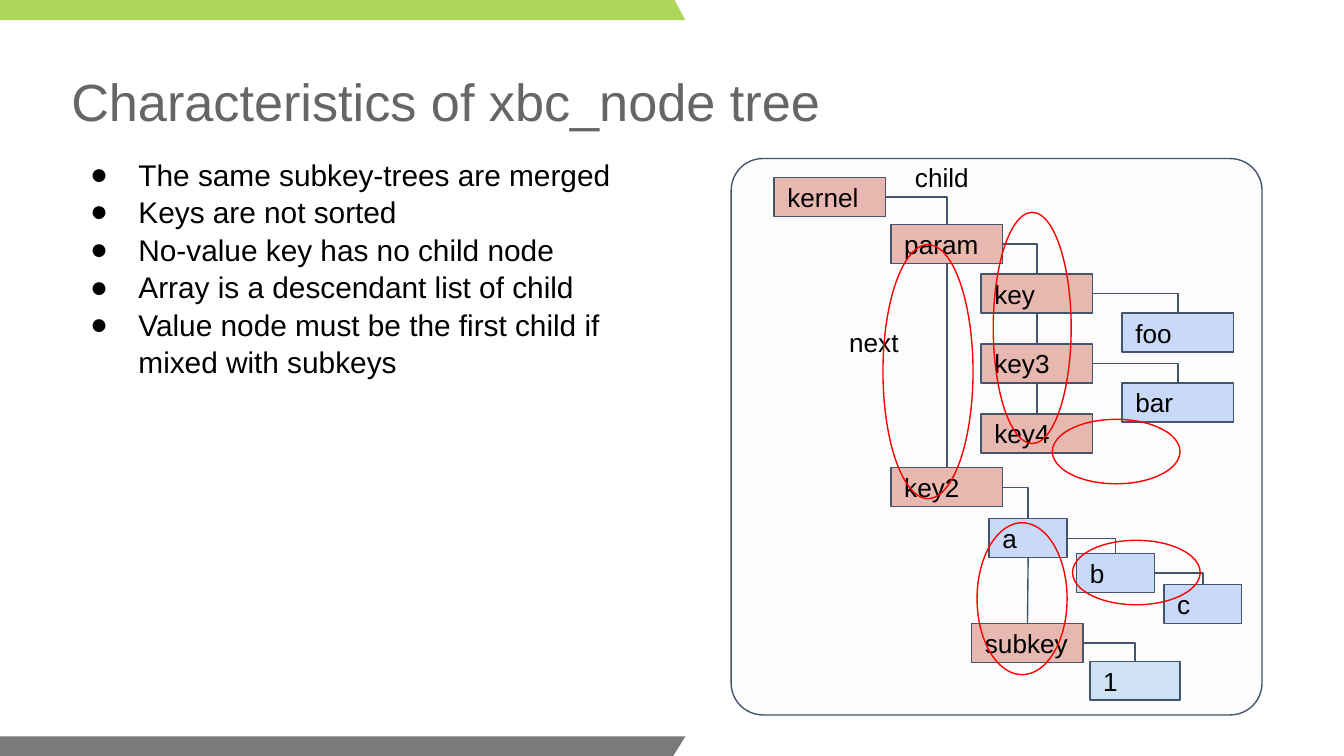
from lxml.etree import SubElement
from pptx import Presentation
from pptx.dml.color import RGBColor
from pptx.enum.shapes import MSO_CONNECTOR as CONN, MSO_SHAPE as SHAPE
from pptx.enum.text import MSO_ANCHOR as ANCHOR, PP_ALIGN as ALIGN
from pptx.oxml.ns import qn
from pptx.util import Emu, Inches, Pt

W = 10
H = W * 9 / 16
FONT = "Arial"
BLACK = RGBColor(0, 0, 0)
GRAY = RGBColor(0x66, 0x66, 0x66)
GREEN = RGBColor(0x99, 0xCC, 0x33)
DARK = RGBColor(0x59, 0x59, 0x59)
SLATE = RGBColor(0x44, 0x54, 0x6A)
PANEL = RGBColor(0xFC, 0xFC, 0xFC)
PINK = RGBColor(0xE6, 0xB8, 0xAF)
BLUE = RGBColor(0xC9, 0xDA, 0xF8)
PALE = RGBColor(0xCF, 0xE2, 0xF3)
RED = RGBColor(0xFF, 0, 0)

TITLE = "Characteristics of xbc_node tree"
BULLETS = [
    "The same subkey-trees are merged",
    "Keys are not sorted",
    "No-value key has no child node",
    "Array is a descendant list of child",
    "Value node must be the first child if mixed with subkeys",
]
NODE_H, WIDE, NARROW = 0.29, 0.83, 0.58
KEY_X, VALUE_X, KEY_Y, KEY_STEP = 7.3, 8.35, 2.04, 0.52
# name: (left, top, width, fill)
NODES = {
    "kernel": (5.76, 1.32, WIDE, PINK),
    "param": (6.63, 1.67, WIDE, PINK),
    "key": (KEY_X, KEY_Y, WIDE, PINK),
    "key3": (KEY_X, KEY_Y + KEY_STEP, WIDE, PINK),
    "key4": (KEY_X, KEY_Y + 2 * KEY_STEP, WIDE, PINK),
    "foo": (VALUE_X, KEY_Y + NODE_H, WIDE, BLUE),
    "bar": (VALUE_X, KEY_Y + NODE_H + KEY_STEP, WIDE, BLUE),
    "key2": (6.63, 3.48, WIDE, PINK),
    "a": (7.36, 3.86, NARROW, BLUE),
    "b": (8.01, 4.12, NARROW, BLUE),
    "c": (8.66, 4.35, NARROW, BLUE),
    "subkey": (7.23, 4.64, WIDE, PINK),
    "1": (8.11, 4.92, 0.67, PALE),
}
CHILD_LINKS = [("kernel", "param"), ("param", "key"), ("key", "foo"), ("key3", "bar"),
               ("key2", "a"), ("a", "b"), ("b", "c"), ("subkey", "1")]
NEXT_LINKS = [("key", "key3"), ("key3", "key4"), ("param", "key2"), ("a", "subkey")]
LINK_LABELS = [("child", 6.71, 1.1, 0.67), ("next", 6.22, 2.33, 0.83)]
RINGS = [(7.39, 1.58, 0.58, 1.72), (7.83, 3.12, 0.95, 0.48), (6.57, 1.82, 0.67, 1.89),
         (7.98, 4.02, 0.95, 0.48), (7.27, 3.89, 0.67, 1.13)]


def add_bullet(p, size):
    pPr = p._p.get_or_add_pPr()
    pPr.set("marL", str(Inches(0.5)))
    pPr.set("indent", str(Inches(-0.36)))
    SubElement(pPr, qn("a:buSzPts")).set("val", str(size * 100))
    SubElement(pPr, qn("a:buFont")).set("typeface", FONT)
    SubElement(pPr, qn("a:buChar")).set("char", "●")


def write(shape, *lines, size=14, color=BLACK, anchor=ANCHOR.TOP, inset=(0.1, 0.1),
          bullets=False, spacing=None):
    tf = shape.text_frame
    tf.word_wrap = True
    tf.vertical_anchor = anchor
    tf.margin_left = tf.margin_right = Inches(inset[0])
    tf.margin_top = tf.margin_bottom = Inches(inset[1])
    for i, line in enumerate(lines):
        p = tf.add_paragraph() if i else tf.paragraphs[0]
        p.alignment = ALIGN.LEFT
        if bullets:
            add_bullet(p, size)
        if spacing:
            p.line_spacing = spacing
        r = p.add_run()
        r.text = line
        r.font.name, r.font.size, r.font.color.rgb = FONT, Pt(size), color


def add_text(s, box, *lines, **fmt):
    write(s.shapes.add_textbox(*map(Inches, box)), *lines, **fmt)


def add_box(s, kind, box, line, fill=None):
    sp = s.shapes.add_shape(kind, *map(Inches, box))
    sp.shadow.inherit = False
    if fill is None:
        sp.fill.background()
    else:
        sp.fill.solid()
        sp.fill.fore_color.rgb = fill
    sp.line.color.rgb, sp.line.width = line, Pt(0.75)
    return sp


def add_bar(s, points, color):
    """Slanted edge bar, 80 % opaque."""
    (x, y), *rest = [(Inches(px), Inches(py)) for px, py in points]
    fb = s.shapes.build_freeform(x, y)
    fb.add_line_segments(rest, close=True)
    sp = fb.convert_to_shape()
    sp.shadow.inherit = False
    sp.fill.solid()
    sp.fill.fore_color.rgb = color
    sp.line.fill.background()
    clr = sp._element.spPr.find(qn("a:solidFill"))[0]
    SubElement(clr, qn("a:alpha")).set("val", "80000")


def link(s, start, end, bent):
    """Join right side to top with an elbow, or bottom to top with a straight line."""
    c = s.shapes.add_connector(CONN.ELBOW if bent else CONN.STRAIGHT, *[Emu(0)] * 4)
    c.begin_connect(start, 3 if bent else 2)
    c.end_connect(end, 0)
    c.line.color.rgb, c.line.width = SLATE, Pt(0.75)
    spPr = c._element.spPr
    if bent:
        spPr.find(qn("a:prstGeom")).set("prst", "bentConnector2")
    SubElement(spPr, qn("a:effectLst"))


def main():
    prs = Presentation()
    prs.slide_width, prs.slide_height = Inches(W), Inches(H)
    s = prs.slides.add_slide(prs.slide_layouts[6])

    add_bar(s, [(0, 0), (5.02, 0), (5.1, 0.15), (0, 0.15)], GREEN)
    add_bar(s, [(0, 5.48), (5.1, 5.48), (5.01, H), (0, H)], DARK)
    add_text(s, (0.49, 0.4, 9.02, 0.69), TITLE, size=28, color=GRAY,
             anchor=ANCHOR.MIDDLE, inset=(0.04, 0.06))
    add_text(s, (0.49, 1.09, 4.51, 4.23), *BULLETS, size=16, inset=(0.04, 0.06),
             bullets=True, spacing=1.05)

    panel = add_box(s, SHAPE.ROUNDED_RECTANGLE, (5.44, 1.18, 3.95, 4.14), SLATE, PANEL)
    panel.adjustments[0] = 0.06
    nodes = {}
    for name, (x, y, w, fill) in NODES.items():
        nodes[name] = add_box(s, SHAPE.RECTANGLE, (x, y, w, NODE_H), SLATE, fill)
        write(nodes[name], name, anchor=ANCHOR.MIDDLE)
    for links, bent in ((CHILD_LINKS, True), (NEXT_LINKS, False)):
        for start, end in links:
            link(s, nodes[start], nodes[end], bent)
    for label, x, y, w in LINK_LABELS:
        add_text(s, (x, y, w, 0.43), label)
    for ring in RINGS:
        add_box(s, SHAPE.OVAL, ring, RED)

    prs.save("out.pptx")


if __name__ == "__main__":
    main()
